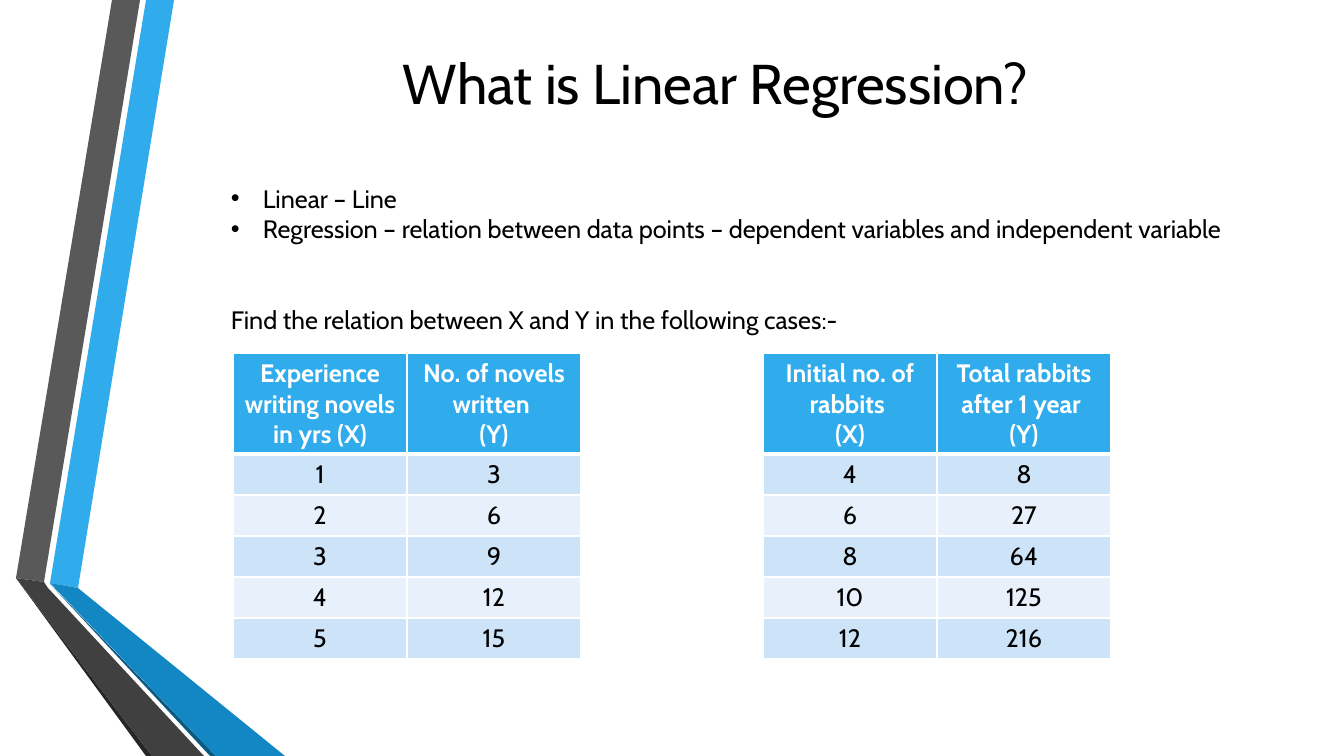
"""Build the slide that introduces linear regression with two example tables."""
from lxml import etree
from pptx import Presentation
from pptx.dml.color import RGBColor
from pptx.enum.text import MSO_ANCHOR, PP_ALIGN
from pptx.oxml.ns import qn
from pptx.util import Pt

CENTER, LEFT = PP_ALIGN.CENTER, PP_ALIGN.LEFT
MIDDLE, TOP = MSO_ANCHOR.MIDDLE, MSO_ANCHOR.TOP
SCALE = 914400 / 100.8
FONT = "Cabin"
BLACK, WHITE, BLUE = "000000", "FFFFFF", "30ACEC"
BANDS = ["CDE3F8", "E8F1FB"]

RIBBONS = [
    (BLUE, [(50, 583), (78, 588), (174, 0), (146, 0)]),
    ("595959", [(140, 0), (112, 0), (16, 578), (44, 582)]),
    ("262626", [(16, 578), (146, 756), (152, 756)]),
    ("0C5A82", [(50, 584), (210, 756), (216, 756)]),
    ("1287C3", [(50, 583), (216, 756), (285, 756), (78, 588)]),
    ("404040", [(204, 756), (48, 588), (44, 582), (16, 578), (152, 756)]),
]
TITLE = "What is Linear Regression?"
BULLETS = [
    "Linear – Line",
    "Regression – relation between data points – dependent variables and independent variable",
]
TASK = "Find the relation between X and Y in the following cases:-"
TABLES = [
    (233, [
        ("Experience writing novels in yrs (X)", "No. of novels written \n(Y)"),
        (1, 3), (2, 6), (3, 9), (4, 12), (5, 15),
    ]),
    (763, [
        ("Initial no. of rabbits \n(X)", "Total rabbits after 1 year \n(Y)"),
        (4, 8), (6, 27), (8, 64), (10, 125), (12, 216),
    ]),
]
TABLE_TOP, COLUMN_WIDTH, HEADER_HEIGHT, ROW_HEIGHT = 353, 174, 101, 41
BULLET_INDENT = 32


def px(length):
    return round(length * SCALE)


def color(value):
    return RGBColor.from_string(value)


def paint(target, value):
    target.fill.solid()
    target.fill.fore_color.rgb = color(value)


def style(frame, size, ink, align, bold=False):
    for para in frame.paragraphs:
        para.alignment = align
        for span in para.runs:
            span.font.name = FONT
            span.font.size = Pt(size)
            span.font.bold = bold
            span.font.color.rgb = color(ink)


def add_ribbon(page, fill, points):
    builder = page.shapes.build_freeform(*points[0], scale=SCALE)
    builder.add_line_segments(points[1:], close=True)
    ribbon = builder.convert_to_shape()
    ribbon.shadow.inherit = False
    paint(ribbon, fill)
    ribbon.line.fill.background()


def add_text(page, place, lines, size, align, anchor):
    box = page.shapes.add_textbox(*map(px, place))
    frame = box.text_frame
    frame.word_wrap = True
    frame.vertical_anchor = anchor
    frame.text = "\n".join(lines)
    style(frame, size, BLACK, align)
    return frame


def add_bullet(para):
    properties = para._p.get_or_add_pPr()
    properties.set("marL", str(px(BULLET_INDENT)))
    properties.set("indent", str(-px(BULLET_INDENT)))
    etree.SubElement(properties, qn("a:buFont"), typeface="Arial")
    etree.SubElement(properties, qn("a:buChar"), char="•")


def add_borders(cell, top, bottom):
    properties = cell._tc.get_or_add_tcPr()
    widths = {"a:lnL": 1, "a:lnR": 1, "a:lnT": top, "a:lnB": bottom}
    for place, (side, width) in enumerate(widths.items()):
        line = etree.Element(qn(side), w=str(Pt(width)))
        fill = etree.SubElement(line, qn("a:solidFill"))
        etree.SubElement(fill, qn("a:srgbClr"), val=WHITE)
        properties.insert(place, line)


def add_table(page, left, rows):
    columns = len(rows[0])
    heights = [HEADER_HEIGHT] + [ROW_HEIGHT] * (len(rows) - 1)
    place = (left, TABLE_TOP, COLUMN_WIDTH * columns, sum(heights))
    table = page.shapes.add_table(len(rows), columns, *map(px, place)).table
    for column in table.columns:
        column.width = px(COLUMN_WIDTH)
    for index, (values, height) in enumerate(zip(rows, heights)):
        header = index == 0
        table.rows[index].height = px(height)
        for column, value in enumerate(values):
            cell = table.cell(index, column)
            cell.text_frame.text = str(value)
            style(cell.text_frame, 18, WHITE if header else BLACK, CENTER, header)
            paint(cell, BLUE if header else BANDS[(index - 1) % 2])
            add_borders(cell, 3 if index == 1 else 1, 3 if header else 1)


def main():
    deck = Presentation()
    deck.slide_width, deck.slide_height = px(1344), px(756)
    page = deck.slides.add_slide(deck.slide_layouts[6])
    for fill, points in RIBBONS:
        add_ribbon(page, fill, points)
    add_text(page, (163, -15, 1105, 194), [TITLE], 40, CENTER, MIDDLE)
    for left, rows in TABLES:
        add_table(page, left, rows)
    notes = add_text(page, (221, 178, 1016, 163), BULLETS + [TASK], 18, LEFT, TOP)
    *bullets, task = notes.paragraphs
    for para in bullets:
        add_bullet(para)
    task.space_before = Pt(43.5)
    deck.save("out.pptx")


if __name__ == "__main__":
    main()
